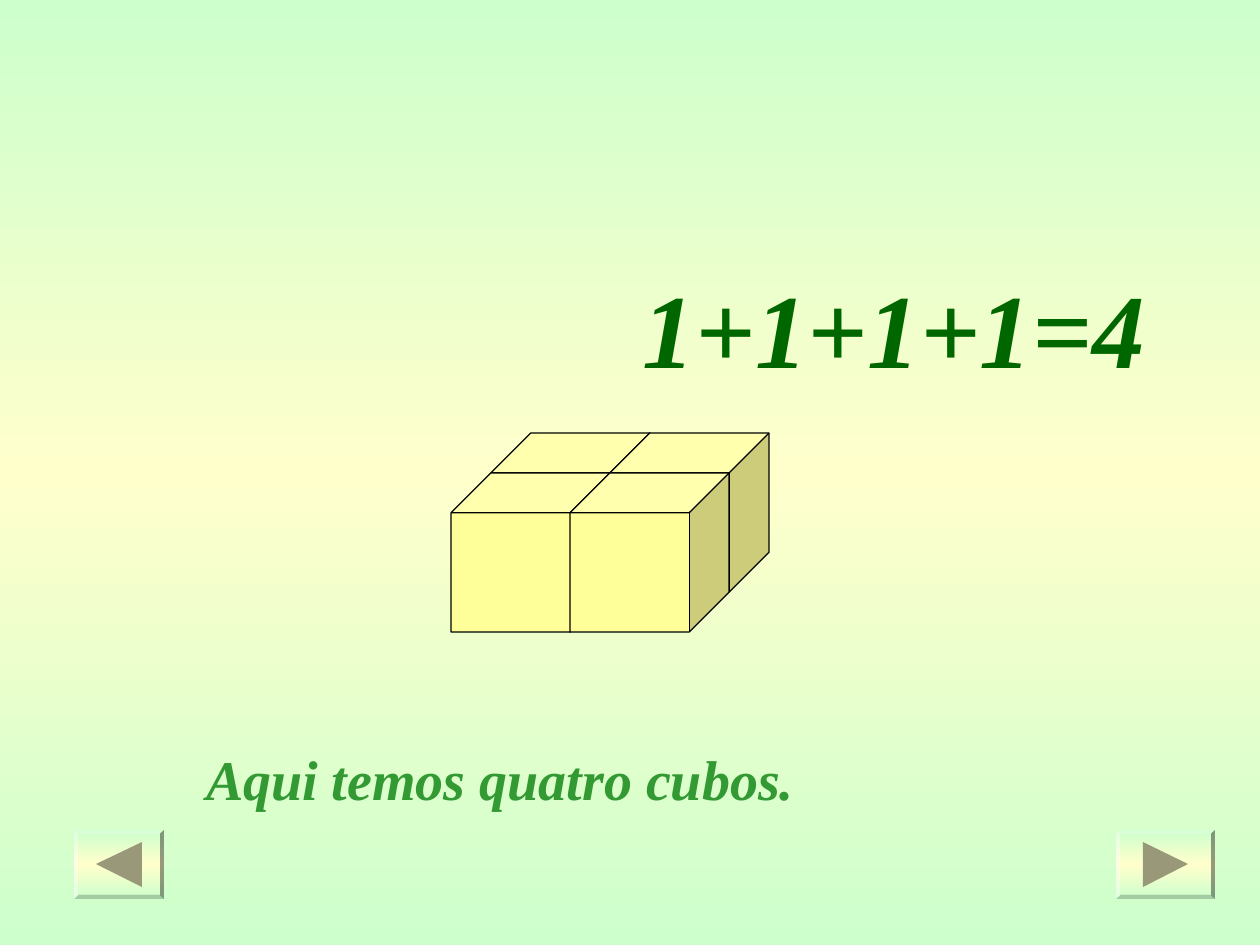
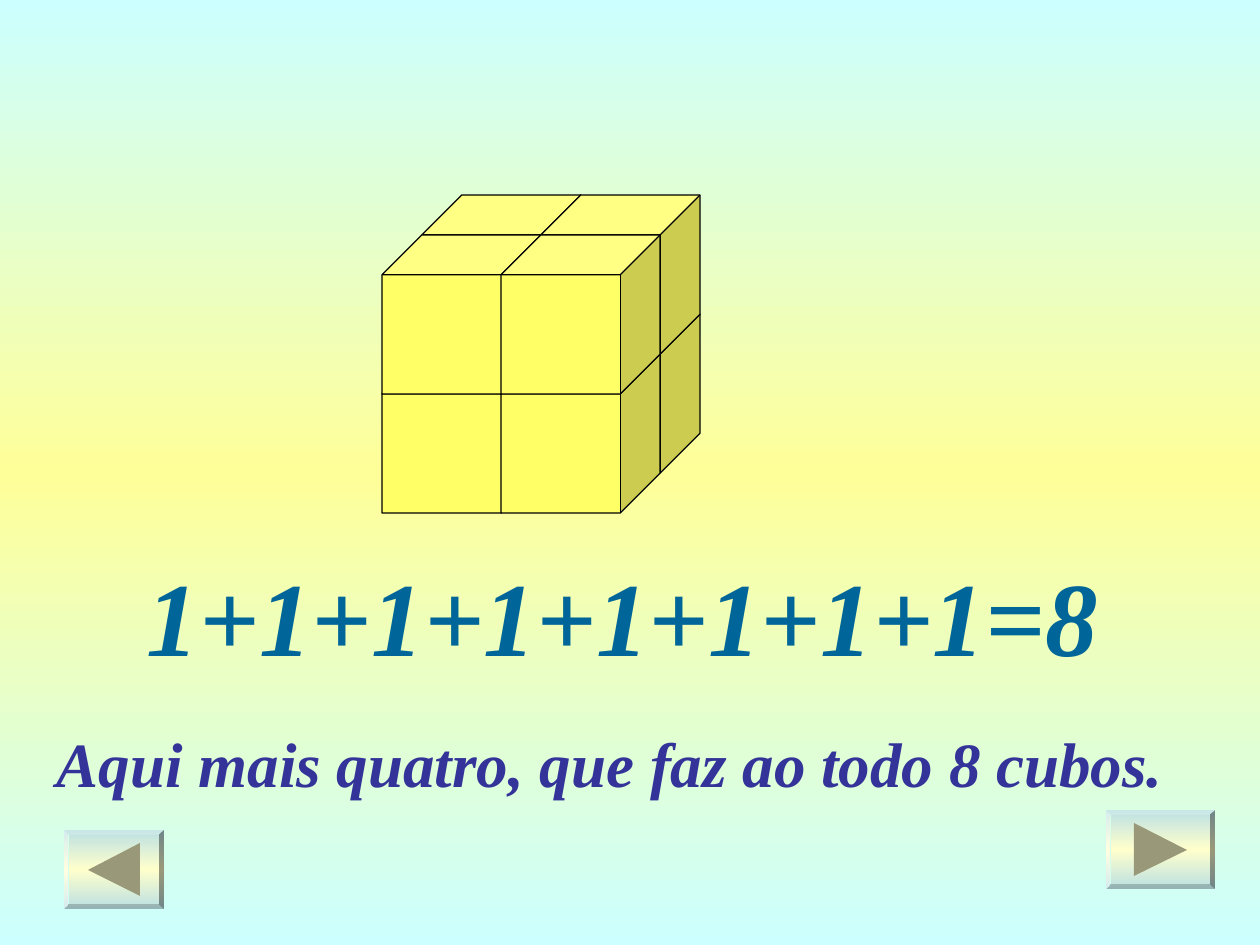
from copy import deepcopy
from itertools import product

from pptx import Presentation
from pptx.dml.color import RGBColor
from pptx.enum.shapes import MSO_SHAPE
from pptx.enum.text import MSO_ANCHOR, MSO_AUTO_SIZE, PP_ALIGN
from pptx.oxml.xmlchemy import OxmlElement
from pptx.util import Emu, Pt

CUBE, BEVEL = MSO_SHAPE.CUBE, MSO_SHAPE.BEVEL
TOP, LEFT, NO_FIT = MSO_ANCHOR.TOP, PP_ALIGN.LEFT, MSO_AUTO_SIZE.NONE

PX = 914400 / 126
FONT = "Times New Roman"
BLACK = RGBColor(0x00, 0x00, 0x00)
MINT = RGBColor(0xCC, 0xFF, 0xCC)
CREAM = RGBColor(0xFF, 0xFF, 0xCC)
AQUA = RGBColor(0xCC, 0xFF, 0xFF)
LEMON = RGBColor(0xFF, 0xFF, 0x99)
YELLOW = RGBColor(0xFF, 0xFF, 0x66)
TEAL_GREY = RGBColor(0xBB, 0xE0, 0xE3)
DARK_GREEN = RGBColor(0x00, 0x66, 0x00)
GREEN = RGBColor(0x33, 0x99, 0x33)
BLUE = RGBColor(0x00, 0x66, 0x99)
INDIGO = RGBColor(0x33, 0x33, 0x99)
ARROW = RGBColor(0x99, 0x99, 0x7A)

CUBE_STEP, CUBE_DEPTH = 119, 40
CUBE_SIZE = CUBE_STEP + CUBE_DEPTH


def px(n):
    return Emu(round(n * PX))


def fill_gradient(fill, edge, middle):
    fill.gradient()
    fill.gradient_angle = 90
    first = fill.gradient_stops[0]._gs
    first.addnext(deepcopy(first))
    for stop, position, color in zip(fill.gradient_stops, (0, 0.5, 1), (edge, middle, edge)):
        stop.position = position
        stop.color.rgb = color


def add_text(sp, box, text, size, color):
    sp.left, sp.top, sp.width, sp.height = map(px, box)
    tf = sp.text_frame
    tf.text = text
    tf.word_wrap = True
    tf.auto_size = NO_FIT
    tf.vertical_anchor = TOP
    tf.margin_left = tf.margin_right = px(13)
    tf.margin_top, tf.margin_bottom = px(6 + 0.22 * size), 0
    p = tf.paragraphs[0]
    p.alignment = LEFT
    p.space_before = Pt(0)
    pPr = p._p.get_or_add_pPr()
    pPr.set("marL", "0")
    pPr.set("indent", "0")
    pPr.append(OxmlElement("a:buNone"))
    font = p.runs[0].font
    font.name, font.size = FONT, Pt(size)
    font.bold = font.italic = True
    font.color.rgb = color


def add_cubes(s, left, top, layers, color):
    for layer, row, col in product(reversed(range(layers)), range(2), range(2)):
        x = left + col * CUBE_STEP + (1 - row) * CUBE_DEPTH
        y = top + layer * CUBE_STEP + row * CUBE_DEPTH
        sp = s.shapes.add_shape(CUBE, px(x), px(y), px(CUBE_SIZE), px(CUBE_SIZE))
        sp.adjustments[0] = 0.25
        sp.shadow.inherit = False
        sp.fill.solid()
        sp.fill.fore_color.rgb = color
        sp.line.color.rgb = BLACK
        sp.line.width = Pt(0.75)


def add_button(s, box, direction, edge):
    left, top, width, height = box
    sp = s.shapes.add_shape(BEVEL, *map(px, box))
    sp.adjustments[0] = 0.06
    fill_gradient(sp.fill, edge, CREAM)
    half = height * 0.33
    x, y = left + width / 2, top + height / 2
    base = x - direction * half
    builder = s.shapes.build_freeform(base, y - half, scale=PX)
    builder.add_line_segments([(x + direction * half, y), (base, y + half)])
    arrow = builder.convert_to_shape()
    arrow.fill.solid()
    arrow.fill.fore_color.rgb = ARROW
    for part in (sp, arrow):
        part.shadow.inherit = False
        part.line.fill.background()


def add_cube_slide(prs, background, cubes, equation, caption, back, forward, button_edge):
    s = prs.slides.add_slide(prs.slide_layouts[1])
    fill_gradient(s.background.fill, *background)
    add_cubes(s, *cubes)
    add_text(s.shapes.title, *equation)
    add_text(s.placeholders[1], *caption)
    add_button(s, forward, 1, button_edge)
    add_button(s, back, -1, button_edge)


def main():
    prs = Presentation()
    prs.slide_width, prs.slide_height = px(1260), px(945)
    add_cube_slide(
        prs,
        background=(MINT, CREAM),
        cubes=(451, 433, 1, LEMON),
        equation=((630, 244, 576, 139), "1+1+1+1=4", 60, DARK_GREEN),
        caption=((193, 731, 893, 81), "Aqui temos quatro cubos.", 32, GREEN),
        back=(74, 830, 90, 69),
        forward=(1116, 830, 99, 69),
        button_edge=MINT,
    )
    add_cube_slide(
        prs,
        background=(AQUA, LEMON),
        cubes=(382, 195, 2, YELLOW),
        equation=((134, 532, 1042, 139), "1+1+1+1+1+1+1+1=8", 60, BLUE),
        caption=((44, 711, 1181, 88), "Aqui mais quatro, que faz ao todo 8 cubos.", 36, INDIGO),
        back=(64, 830, 100, 79),
        forward=(1106, 810, 109, 79),
        button_edge=TEAL_GREY,
    )
    prs.save("out.pptx")


if __name__ == "__main__":
    main()
